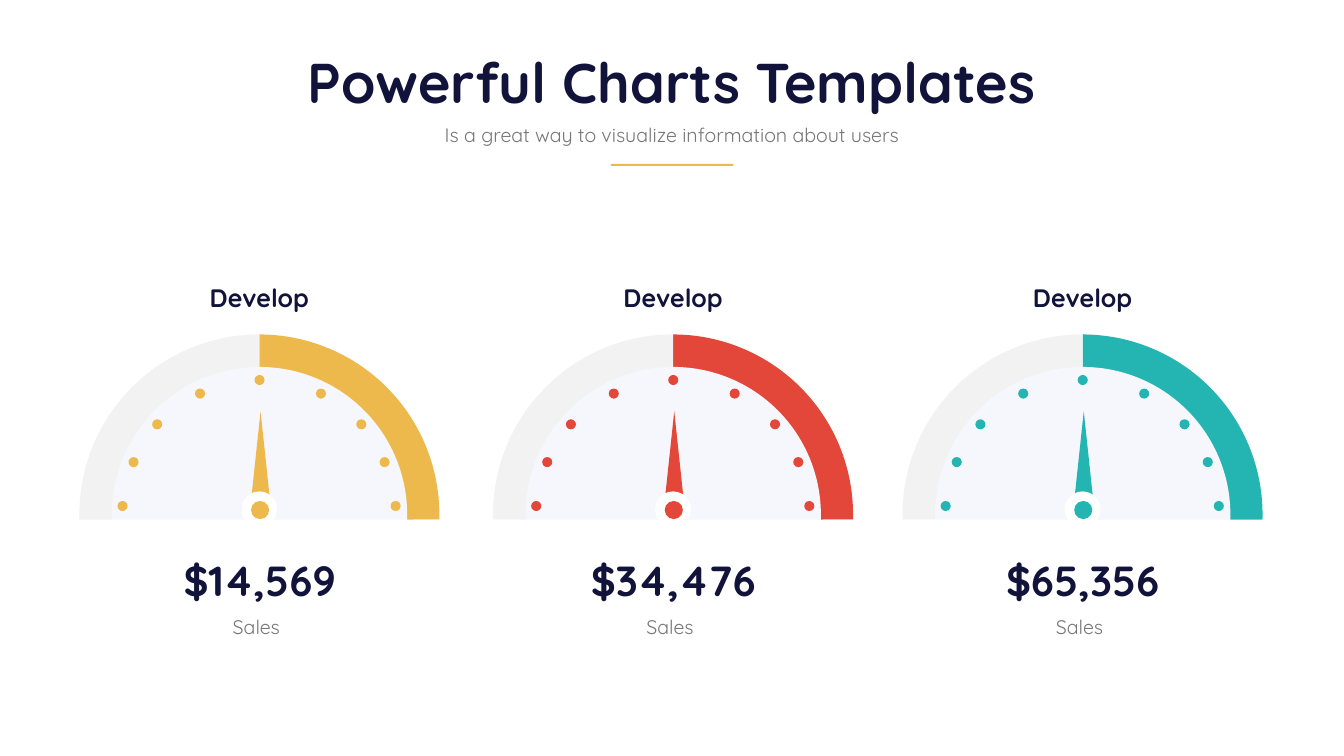
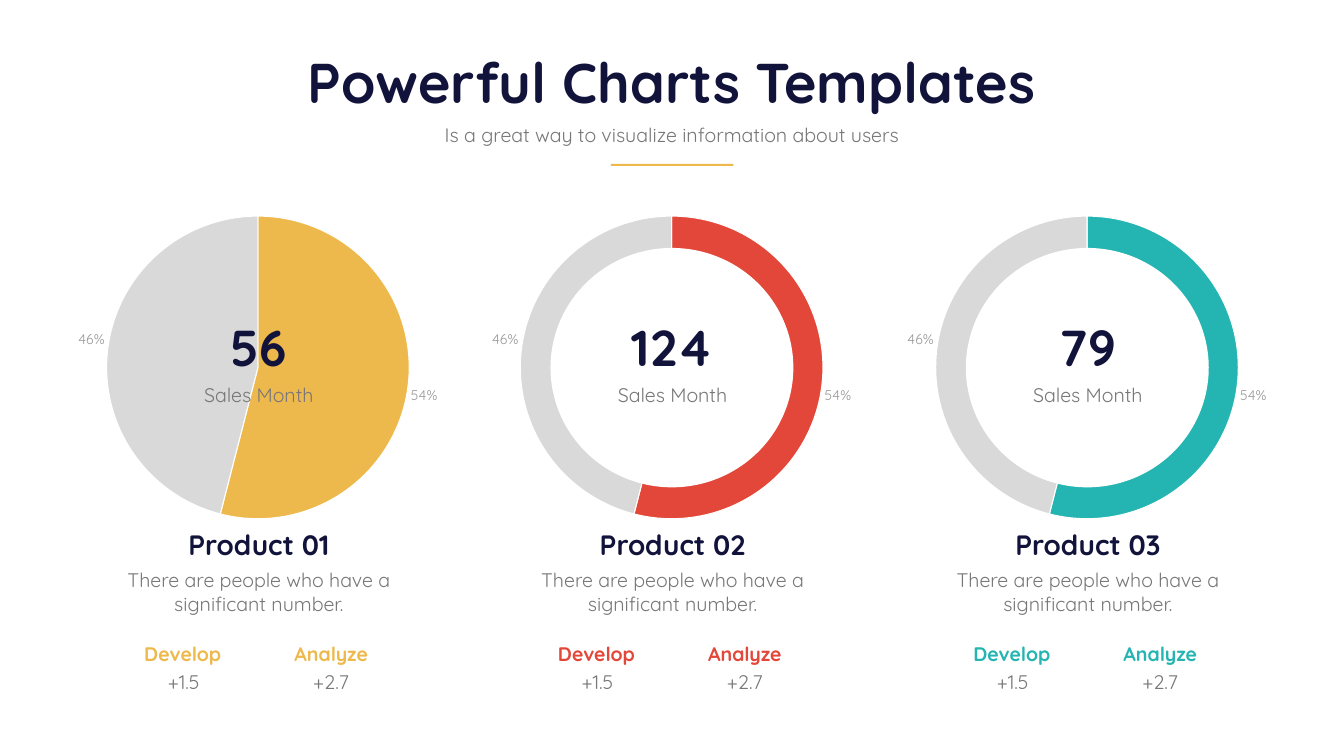
from lxml import etree
from pptx import Presentation
from pptx.chart.data import CategoryChartData as Data
from pptx.dml.color import RGBColor as RGB
from pptx.enum.chart import XL_CHART_TYPE as Chart, XL_LABEL_POSITION as Spot
from pptx.enum.shapes import MSO_SHAPE as Form
from pptx.enum.text import MSO_ANCHOR as Anchor, MSO_AUTO_SIZE as Auto, PP_ALIGN as Align
from pptx.oxml.ns import qn
from pptx.util import Pt

HUES = {
    "navy": "11133A", "gray": "777678", "note": "99989A", "white": "FFFFFF",
    "gold": "EEB94C", "red": "E34739", "teal": "24B5B2",
    "pale": "F2F2F2", "rest": "D9D9D9", "dial": "F6F7FC",
}
COLS = ["gold", "red", "teal"]
FONT = "Quicksand"


def hue(name):
    return RGB.from_string(HUES[name])


def text(words, at, on=None, box=None, size=28, color="gray", bold=False, mid=False, lead=None):
    box = box or on.shapes.add_textbox(0, 0, 0, 0)
    box.left, box.top, box.width, box.height = [Pt(n) for n in at]
    frame = box.text_frame
    frame.word_wrap = True
    frame.auto_size = Auto.SHAPE_TO_FIT_TEXT
    frame.vertical_anchor = Anchor.MIDDLE if mid else Anchor.TOP
    if mid:
        frame.margin_left = frame.margin_right = Pt(4.32)
        frame.margin_top = frame.margin_bottom = Pt(4.32)
    para = frame.paragraphs[0]
    para.alignment = Align.CENTER
    if lead:
        para.line_spacing = Pt(lead)
    run = para.add_run()
    run.text = words
    run.font.name, run.font.size, run.font.bold = FONT, Pt(size), bold
    run.font.color.rgb = hue(color)


deck = Presentation()
deck.slide_width, deck.slide_height = Pt(1920), Pt(1080)
gauge, rings = [deck.slides.add_slide(deck.slide_layouts[5]) for _ in range(2)]
marks = [(page, Form.RECTANGLE, (872.6, 234, 175, 2.9), "gold") for page in (gauge, rings)]

pies = [
    (gauge, (0, 591, 1176), (110.2, 475.2, 520.6, 520.6), (32, 68), "pale", "Calibri", 10),
    (rings, (0, 591, 1184.4), (44.6, 298.8, 648, 452.2), (54, 46), "rest", FONT, 18),
]
for page, shifts, (x, y, w, h), vals, rest, font, size in pies:
    text("Powerful Charts Templates", (279.4, 64.8, 1360.8, 104.4), box=page.shapes.title,
         size=80, color="navy", bold=True)
    text("Is a great way to visualize information about users", (615.6, 171.4, 688.3, 41), on=page)
    for dx, color in zip(shifts, COLS):
        data = Data()
        data.categories = ["1", "2"]
        data.add_series("Series 1", vals)
        chart = page.shapes.add_chart(Chart.PIE, Pt(x + dx), Pt(y), Pt(w), Pt(h), data).chart
        chart.has_title = chart.has_legend = False
        chart.font.name, chart.font.size = font, Pt(size)
        chart.font.color.rgb = hue("gray")
        plot = chart.plots[0]
        plot.vary_by_categories = True
        for i, name in enumerate((color, rest)):
            part = plot.series[0].points[i].format
            part.fill.solid()
            part.fill.fore_color.rgb = hue(name)
            if page is rings:
                part.line.color.rgb = hue("white")
                part.line.width = Pt(1.5)
            else:
                part.line.fill.background()
        if page is rings:
            plot.has_data_labels = True
            tags = plot.data_labels
            tags.show_percentage, tags.show_value = True, False
            tags.number_format, tags.number_format_is_linked = "0%", False
            tags.position = Spot.OUTSIDE_END
            tags.font.name, tags.font.size = FONT, Pt(20)
            tags.font.color.rgb = hue("note")
        else:
            area = chart.element.find(".//" + qn("c:plotArea"))
            for old in area.findall(qn("c:layout")):
                area.remove(old)
            frame = etree.Element(qn("c:layout"))
            area.insert(0, frame)
            inner = etree.SubElement(frame, qn("c:manualLayout"))
            for tag, val in [("layoutTarget", "inner"), ("xMode", "edge"), ("yMode", "edge"),
                             ("x", "0.005"), ("y", "0.005"), ("w", "0.99"), ("h", "0.988")]:
                etree.SubElement(inner, qn("c:" + tag)).set("val", val)

dots = [(363.6, 535.7), (278.6, 555.1), (451.4, 555.1), (217.4, 599), (509, 599),
        (183.6, 653), (542.2, 653), (167.8, 715.7), (558, 715.7)]
for dx, color in zip(pies[0][1], COLS):
    parts = [(Form.OVAL, 159.8, 524.2, 421.9, 421.9, "dial"),
             (Form.RECTANGLE, 0, 742.3, 744, 328.3, "white")]
    parts += [(Form.OVAL, x, y, 14.4, 14.4, color) for x, y in dots]
    parts += [(Form.ISOSCELES_TRIANGLE, 359.3, 587.5, 25.9, 121.7, color),
              (Form.OVAL, 359.3, 695.5, 25.9, 27.4, color),
              (Form.OVAL, 344.9, 702, 51.1, 51.1, "white"),
              (Form.OVAL, 358.6, 715.7, 25.9, 25.9, color)]
    marks += [(gauge, form, (x + dx, y, w, h), fill) for form, x, y, w, h, fill in parts]
marks += [(rings, Form.OVAL, (195.4 + dx, 354.2, 347, 342), "white") for dx in pies[1][1][1:]]

for page, form, at, fill in marks:
    mark = page.shapes.add_shape(form, *[Pt(n) for n in at])
    mark.shadow.inherit = False
    mark.fill.solid()
    mark.fill.fore_color.rgb = hue(fill)
    mark.line.fill.background()

for dx, sum_ in zip(pies[0][1], ["$14,569", "$34,476", "$65,356"]):
    text("Develop", (213.8 + dx, 399.6, 313.2, 51.1), on=gauge, size=36, color="navy", bold=True)
    text(sum_, (177.1 + dx, 787.7, 387.4, 80.6), on=gauge, size=60, color="navy", bold=True, mid=True)
    text("Sales", (236.9 + dx, 874.1, 258.5, 41.8), on=gauge, mid=True)

for n, (dx, color, count) in enumerate(zip(pies[1][1], COLS, ["56", "124", "79"]), 1):
    text("Sales Month", (240.5 + dx, 542.9, 258.5, 41.8), on=rings, mid=True)
    text(count, (263.5 + dx, 447.8, 211.7, 95), on=rings, size=72, color="navy", bold=True, mid=True)
    text(f"Product {n:02}", (121 + dx, 748.8, 497.5, 56.9), on=rings, size=40, color="navy",
         bold=True, mid=True)
    text("There are people who have a significant number.", (141.1 + dx, 807.8, 457.2, 74.9), on=rings)
    for head, x, w, rate, left, wide in [("Develop", 162, 198, "+1.5", 164.9, 195.1),
                                         ("Analyze", 370.1, 205.9, "+2.7", 399.6, 146.9)]:
        text(head, (x + dx, 906.5, w, 45.4), on=rings, color=color, bold=True, lead=40.8)
        text(rate, (left + dx, 946.8, wide, 44.6), on=rings, lead=40.8)

deck.save("out.pptx")
